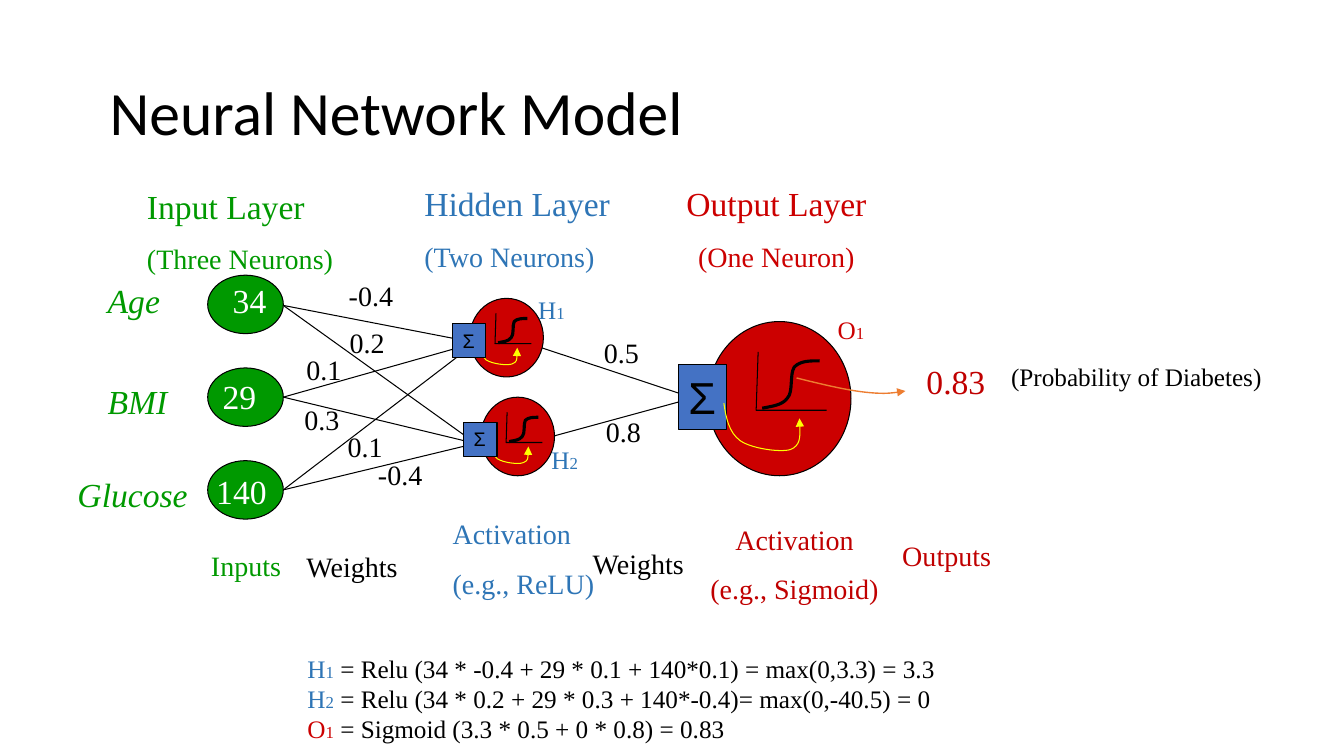
"""Build the neural network model slide."""
from lxml import etree
from pptx import Presentation
from pptx.dml.color import RGBColor
from pptx.enum.shapes import MSO_CONNECTOR as Link, MSO_SHAPE as Kind
from pptx.enum.text import MSO_ANCHOR as Anchor, PP_ALIGN as Align
from pptx.oxml.ns import qn
from pptx.util import Pt

PX = 9144
SERIF, SANS, HEAD = "Times New Roman", "Arial", "Calibri"
GREEN, BLUE, RED, DARK = "009900", "2E75B6", "CC0000", "C00000"
BLACK, WHITE, BOX = "000000", "FFFFFF", "4472C4"
YELLOW, ORANGE = "FFFF00", "ED7D31"
L, C = Align.LEFT, Align.CENTER

INPUTS = [
    ("Age", (97, 273, 83), "34", (206, 273)),
    ("BMI", (97, 373, 100), "29", (196, 368)),
    ("Glucose", (67, 465, 139), "140", (198, 462)),
]
OVAL = (206, 273, 75, 58)
STEP = 92
EDGES = [
    (281, 303, 472, 340), (281, 394, 472, 440), (281, 394, 472, 340),
    (281, 303, 472, 440), (281, 486, 488, 436), (281, 486, 472, 340),
    (522, 340, 676, 391), (522, 440, 676, 398),
]
WEIGHTS = [
    ("-0.4", 336, 271, 65), ("0.5", 589, 328, 55), ("0.8", 591, 406, 55),
    ("-0.4", 365, 449, 65), ("0.1", 294, 345, 55), ("0.3", 292, 394, 55),
    ("0.1", 335, 421, 55), ("0.2", 337, 318, 55),
]
LABELS = [
    (136, 179, 267, 101, L, GREEN, [("Input Layer", 24), ("(Three Neurons)", 20)]),
    (411, 177, 242, 101, L, BLUE, [("Hidden Layer", 24), ("(Two Neurons)", 20)]),
    (649, 177, 242, 101, C, RED, [("Output Layer", 24), ("(One Neuron)", 20)]),
    (140, 539, 208, 44, C, GREEN, [("Inputs", 20)]),
    (294, 540, 143, 44, L, BLACK, [("Weights", 20)]),
    (439, 508, 175, 94, L, BLUE, [("Activation", 20), ("(e.g., ReLU)", 20)]),
    (578, 537, 143, 44, L, BLACK, [("Weights", 20)]),
    (684, 513, 208, 94, C, DARK, [("Activation", 20), ("(e.g., Sigmoid)", 20)]),
    (885, 529, 175, 44, L, DARK, [("Outputs", 20)]),
    (909, 353, 108, 50, L, DARK, [("0.83", 24)]),
    (993, 354, 329, 50, L, BLACK, [("(Probability of Diabetes)", 18)]),
]
NAMES = [
    ("H", "1", BLUE, (524, 287, 73, 40),
     " = Relu (34 * -0.4 + 29 * 0.1 + 140*0.1) = max(0,3.3) = 3.3"),
    ("H", "2", BLUE, (537, 436, 73, 40),
     " = Relu (34 * 0.2 + 29 * 0.3 + 140*-0.4)= max(0,-40.5) = 0"),
    ("O", "1", RED, (821, 307, 55, 40), " = Sigmoid (3.3 * 0.5 + 0 * 0.8) = 0.83"),
]
SUMS = (295, 643, 759, 101)

NEURONS = [
    ((702, 319, 142, 153), (673, 362, 48, 64), 32, 1),
    ((466, 296, 73, 78), (449, 321, 33, 34), 14, 0.515),
    ((477, 394, 73, 78), (460, 419, 33, 34), 14, 0.515),
]
CURVE = [(54, 86), (64, 84), (74, 83), (79, 76), (85, 70), (81, 52), (86, 45),
         (92, 39), (101, 39), (111, 39)]
AXES = [(50, 30), (48, 88), (118, 88)]
HOOK = [(16, 81), (18, 95), (21, 110), (32, 118), (43, 126), (72, 130), (82, 127),
        (92, 123), (92, 110), (91, 96)]
OUT = [(790, 375), (814, 381), (839, 387), (857, 389), (875, 391), (887, 390),
       (898, 388)]


def hue(code):
    return RGBColor.from_string(code)


def emu(nums):
    return [n * PX for n in nums]


def ink(line, code, width):
    line.color.rgb = hue(code)
    line.width = Pt(width)


def write(para, text, size, code, font=SERIF, ital=False):
    run = para.add_run()
    run.text = text
    run.font.size, run.font.name, run.font.italic = Pt(size), font, ital
    run.font.color.rgb = hue(code)


def label(box, rows, align=L, wrap=True, font=SERIF, ital=False, gap=0):
    frame = shapes.add_textbox(*emu(box)).text_frame
    frame.word_wrap = wrap
    for i, row in enumerate(rows):
        para = frame.add_paragraph() if i else frame.paragraphs[0]
        para.alignment = align
        if i and gap:
            para.space_before = Pt(gap)
        for bit in row:
            write(para, *bit, font=font, ital=ital)
    return frame


def solid(home, kind, box, code):
    shape = home.add_shape(kind, *emu(box))
    shape.shadow.inherit = False
    shape.fill.solid()
    shape.fill.fore_color.rgb = hue(code)
    ink(shape.line, BLACK, 0.75)
    return shape


def trace(home, pts, code, width, bend=True, tip=False):
    form = home.build_freeform(*pts[0], scale=PX)
    form.add_line_segments(pts[1:], close=False)
    shape = form.convert_to_shape()
    shape.shadow.inherit = False
    shape.fill.background()
    ink(shape.line, code, width)
    if bend:
        legs = list(shape._element.iter(qn("a:lnTo")))
        for i in range(0, len(legs), 3):
            cubic = etree.Element(qn("a:cubicBezTo"))
            legs[i].addprevious(cubic)
            for leg in legs[i:i + 3]:
                cubic.append(leg[0])
                leg.getparent().remove(leg)
    if tip:
        etree.SubElement(shape.line._get_or_add_ln(), qn("a:tailEnd"), type="triangle")


def sigma(home, box, size):
    frame = solid(home, Kind.RECTANGLE, box, BOX).text_frame
    frame.word_wrap = False
    frame.vertical_anchor = Anchor.TOP
    frame.paragraphs[0].alignment = L
    write(frame.paragraphs[0], "Σ", size, BLACK, SANS)


def neuron(body, box, size, zoom):
    home = shapes.add_group_shape().shapes
    x, y = body[:2]

    def place(pts):
        return [(round(x + a * zoom), round(y + b * zoom)) for a, b in pts]

    solid(home, Kind.FLOWCHART_CONNECTOR, body, RED)
    trace(home, place(CURVE), BLACK, 2.25)
    trace(home, place(AXES), BLACK, 0.75, bend=False)
    if zoom == 1:
        sigma(home, box, size)
    trace(home, place(HOOK), YELLOW, 0.75, tip=True)
    if zoom < 1:
        sigma(home, box, size)


deck = Presentation()
deck.slide_width, deck.slide_height = emu((1333, 750))
shapes = deck.slides.add_slide(deck.slide_layouts[6]).shapes

title = label((99, 42, 1150, 145), [[("Neural Network Model", 44, BLACK)]], font=HEAD)
title.vertical_anchor = Anchor.MIDDLE
title.paragraphs[0].line_spacing = 0.9

for edge in EDGES:
    wire = shapes.add_connector(Link.STRAIGHT, *emu(edge))
    ink(wire.line, BLACK, 0.75)
    etree.SubElement(wire._element.spPr, qn("a:effectLst"))

for i, (name, (x, y, w), value, spot) in enumerate(INPUTS):
    left, top, wide, high = OVAL
    solid(shapes, Kind.FLOWCHART_CONNECTOR, (left, top + i * STEP, wide, high), GREEN)
    label((x, y, w, 50), [[(name, 24, GREEN)]], ital=True)
    label((*spot, 83, 50), [[(value, 24, WHITE)]], C)

for text, x, y, w in WEIGHTS:
    label((x, y, w, 44), [[(text, 20, BLACK)]], wrap=False)

for *box, align, code, rows in LABELS:
    label(box, [[(text, size, code)] for text, size in rows], align, gap=11)

for item in NEURONS:
    neuron(*item)
trace(shapes, OUT, ORANGE, 1, tip=True)

sums = []
for name, sub, code, box, rest in NAMES:
    mark = [(name, 18, code), (sub, 12, code)]
    label(box, [mark])
    sums.append(mark + [(rest, 18, BLACK)])
label(SUMS, sums)

deck.save("out.pptx")
